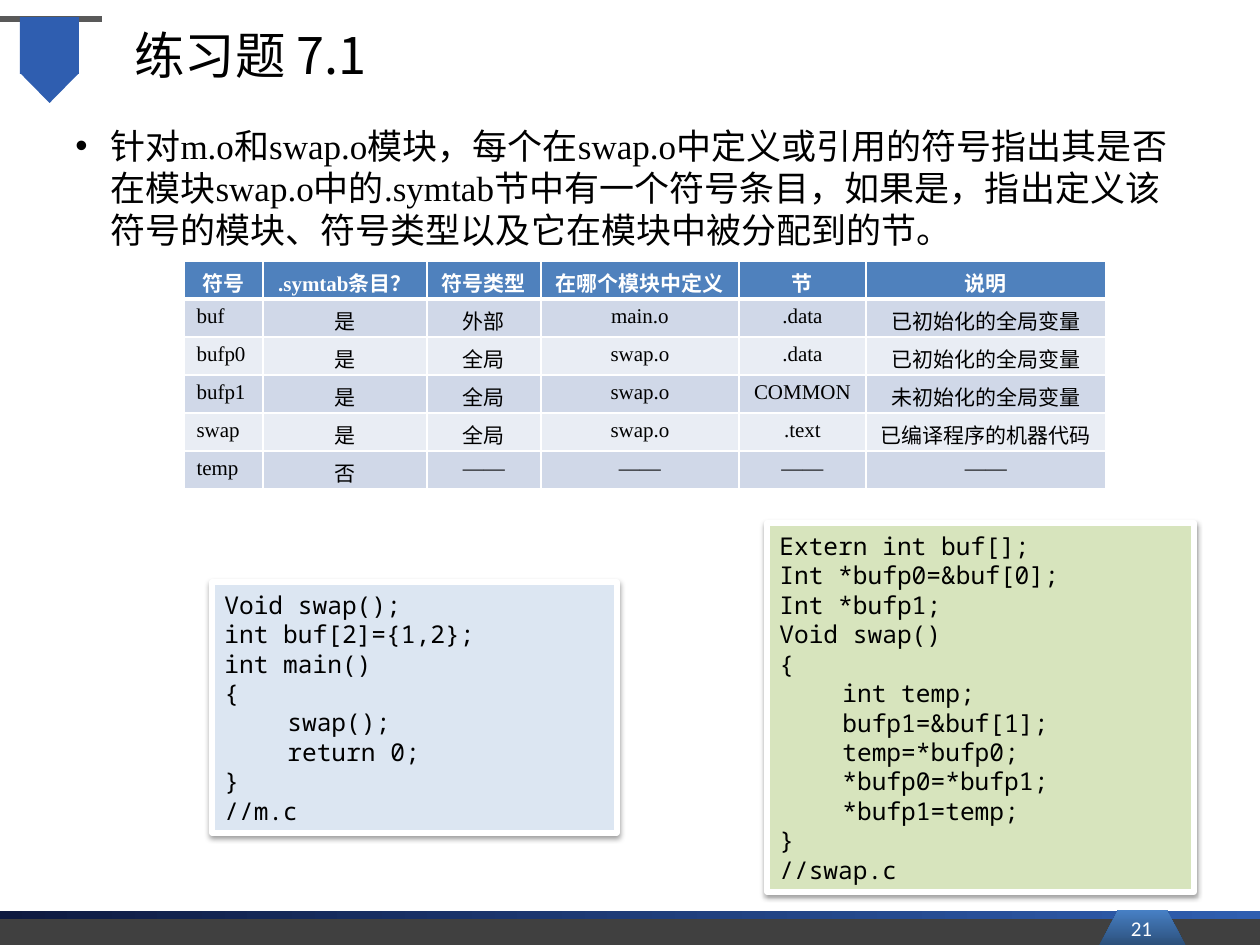
from typing import NamedTuple

import lxml.etree
import pptx
import pptx.dml.color
import pptx.enum.shapes
import pptx.enum.text
import pptx.oxml
import pptx.oxml.ns
import pptx.util

EMU_PER_PX = 914400 / 126
RGB = pptx.dml.color.RGBColor
SHAPE = pptx.enum.shapes.MSO_SHAPE
ALIGN = pptx.enum.text.PP_ALIGN
ANCHOR = pptx.enum.text.MSO_ANCHOR

BLACK, WHITE = RGB(0, 0, 0), RGB(255, 255, 255)
GREY, DARK_GREY = RGB(0x59, 0x59, 0x59), RGB(0x40, 0x40, 0x40)
NAVY, BLUE = RGB(0x0E, 0x1A, 0x40), RGB(0x2F, 0x5E, 0xB0)
TAB_DARK, TAB_LIGHT = RGB(0x2A, 0x4C, 0x75), RGB(0x47, 0x80, 0xC5)
CODE_BLUE, CODE_GREEN = RGB(0xDC, 0xE6, 0xF2), RGB(0xD7, 0xE4, 0xBD)
HEADER_FILL = RGB(0x4F, 0x81, 0xBD)
BAND_FILLS = RGB(0xD0, 0xD8, 0xE8), RGB(0xE9, 0xED, 0xF4)

CJK, SERIF, MONO, SANS = "Noto Sans CJK SC", "Times New Roman", "Noto Sans Mono", "Calibri"
NAMESPACE = pptx.oxml.ns.nsdecls("a")


class Area(NamedTuple):
    left: int
    top: int
    width: int
    height: int


class Style(NamedTuple):
    font: str
    size: float
    color: RGB = BLACK
    bold: bool = False


class Decoration(NamedTuple):
    preset: SHAPE
    area: Area
    colors: tuple[RGB, ...]
    angle: int = 0
    rotation: int = 0


class Listing(NamedTuple):
    area: Area
    fill: RGB
    code: str


DECORATIONS = [
    Decoration(SHAPE.RECTANGLE, Area(0, 16, 102, 6), (GREY,)),
    Decoration(SHAPE.RECTANGLE, Area(20, 17, 59, 57), (BLUE,)),
    Decoration(SHAPE.ISOSCELES_TRIANGLE, Area(20, 73, 59, 30), (BLUE,), rotation=180),
    Decoration(SHAPE.RECTANGLE, Area(0, 911, 1260, 38), (NAVY, BLUE)),
    Decoration(SHAPE.RECTANGLE, Area(0, 919, 1260, 30), (DARK_GREY,)),
    Decoration(SHAPE.TRAPEZOID, Area(1098, 910, 89, 38), (TAB_DARK, TAB_LIGHT), angle=90),
]

QUESTION = (
    "针对m.o和swap.o模块，每个在swap.o中定义或引用的符号指出其是否在模块swap.o中的"
    ".symtab节中有一个符号条目，如果是，指出定义该符号的模块、符号类型以及它在模块中被分配到的节。"
)

LISTINGS = [
    Listing(Area(212, 582, 405, 251), CODE_BLUE, """Void swap();
int buf[2]={1,2};
int main()
{
\tswap();
\treturn 0;
}
//m.c"""),
    Listing(Area(767, 523, 427, 369), CODE_GREEN, """Extern int buf[];
Int *bufp0=&buf[0];
Int *bufp1;
Void swap()
{
\tint temp;
\tbufp1=&buf[1];
\ttemp=*bufp0;
\t*bufp0=*bufp1;
\t*bufp1=temp;
}
//swap.c"""),
]

TABLE_AREA = Area(184, 261, 922, 228)
COLUMN_WIDTHS = [79, 164, 114, 198, 127, 240]
SYMBOLS = [
    ["符号", ".symtab条目？", "符号类型", "在哪个模块中定义", "节", "说明"],
    ["buf", "是", "外部", "main.o", ".data", "已初始化的全局变量"],
    ["bufp0", "是", "全局", "swap.o", ".data", "已初始化的全局变量"],
    ["bufp1", "是", "全局", "swap.o", "COMMON", "未初始化的全局变量"],
    ["swap", "是", "全局", "swap.o", ".text", "已编译程序的机器代码"],
    ["temp", "否", "——", "——", "——", "——"],
]


def px(length: int) -> pptx.util.Emu:
    return pptx.util.Emu(round(length * EMU_PER_PX))


def emu(area: Area) -> list[pptx.util.Emu]:
    return [px(length) for length in area]


def add_run(para, text: str, style: Style) -> None:
    span = para.add_run()
    span.text = text
    span.font.size = pptx.util.Pt(style.size)
    span.font.bold = style.bold
    span.font.color.rgb = style.color
    span.font.name = style.font
    east_asian = lxml.etree.SubElement(span.font._element, pptx.oxml.ns.qn("a:ea"))
    east_asian.set("typeface", CJK)


def add_text(page, area: Area, text: str, style: Style, align=ALIGN.LEFT, anchor=ANCHOR.MIDDLE):
    box = page.shapes.add_textbox(*emu(area))
    box.text_frame.word_wrap = True
    box.text_frame.vertical_anchor = anchor
    para = box.text_frame.paragraphs[0]
    para.alignment = align
    add_run(para, text, style)
    return para


def add_bullet(para, indent: int) -> None:
    properties = para._p.get_or_add_pPr()
    properties.set("marL", str(px(indent)))
    properties.set("indent", str(-px(indent)))
    properties.append(pptx.oxml.parse_xml(f'<a:buFont {NAMESPACE} typeface="Arial"/>'))
    properties.append(pptx.oxml.parse_xml(f'<a:buChar {NAMESPACE} char="•"/>'))


def add_decoration(page, item: Decoration) -> None:
    shape = page.shapes.add_shape(item.preset, *emu(item.area))
    shape.shadow.inherit = False
    shape.line.fill.background()
    shape.rotation = item.rotation
    if item.preset == SHAPE.TRAPEZOID:
        shape.adjustments[0] = 0.535
    if len(item.colors) == 1:
        shape.fill.solid()
        shape.fill.fore_color.rgb = item.colors[0]
    else:
        shape.fill.gradient()
        shape.fill.gradient_angle = item.angle
        for stop, color in zip(shape.fill.gradient_stops, item.colors):
            stop.color.rgb = color


def add_listing(page, listing: Listing) -> None:
    shape = page.shapes.add_shape(SHAPE.RECTANGLE, *emu(listing.area))
    shape.fill.solid()
    shape.fill.fore_color.rgb = listing.fill
    shape.line.color.rgb = WHITE
    shape.line.width = pptx.util.Pt(3)
    shape._element.spPr.append(pptx.oxml.parse_xml(
        f'<a:effectLst {NAMESPACE}><a:outerShdw blurRad="40000" dist="20000" dir="5400000" '
        'rotWithShape="0"><a:srgbClr val="000000"><a:alpha val="38000"/></a:srgbClr>'
        "</a:outerShdw></a:effectLst>"))
    frame = shape.text_frame
    frame.word_wrap = True
    frame.vertical_anchor = ANCHOR.MIDDLE
    for index, line in enumerate(listing.code.splitlines()):
        para = frame.add_paragraph() if index else frame.paragraphs[0]
        para.alignment = ALIGN.LEFT
        para.line_spacing = pptx.util.Pt(16.8)
        add_run(para, line, Style(MONO, 14))


def add_borders(cell, header: bool) -> None:
    for side in "LRTB":
        width = pptx.util.Pt(3 if header and side == "B" else 1)
        cell._tc.get_or_add_tcPr().append(pptx.oxml.parse_xml(
            f'<a:ln{side} {NAMESPACE} w="{width}"><a:solidFill>'
            f'<a:srgbClr val="{WHITE}"/></a:solidFill></a:ln{side}>'))


def add_symbol_table(page) -> None:
    table = page.shapes.add_table(len(SYMBOLS), len(COLUMN_WIDTHS), *emu(TABLE_AREA)).table
    for column, width in zip(table.columns, COLUMN_WIDTHS):
        column.width = px(width)
    for row, values in enumerate(SYMBOLS):
        header = row == 0
        table.rows[row].height = px(TABLE_AREA.height // len(SYMBOLS))
        style = Style(SERIF, 12, WHITE if header else BLACK, header)
        for column, value in enumerate(values):
            cell = table.cell(row, column)
            cell.margin_top, cell.margin_bottom = px(6), px(0)
            add_borders(cell, header)
            cell.fill.solid()
            cell.fill.fore_color.rgb = HEADER_FILL if header else BAND_FILLS[(row - 1) % 2]
            para = cell.text_frame.paragraphs[0]
            para.alignment = ALIGN.CENTER if header or column else ALIGN.LEFT
            add_run(para, value, style)


def main() -> None:
    deck = pptx.Presentation()
    deck.slide_width, deck.slide_height = px(1260), px(945)
    page = deck.slides.add_slide(deck.slide_layouts[6])
    for item in DECORATIONS:
        add_decoration(page, item)
    add_text(page, Area(122, 15, 1074, 78), "练习题 7.1", Style(CJK, 28.8))
    question = add_text(page, Area(63, 118, 1134, 726), QUESTION, Style(SERIF, 20), anchor=ANCHOR.TOP)
    add_bullet(question, 35)
    question.line_spacing = pptx.util.Pt(24)
    add_text(page, Area(1086, 909, 111, 39), "21", Style(SANS, 12, WHITE), ALIGN.CENTER)
    for listing in LISTINGS:
        add_listing(page, listing)
    add_symbol_table(page)
    deck.save("out.pptx")


if __name__ == "__main__":
    main()
